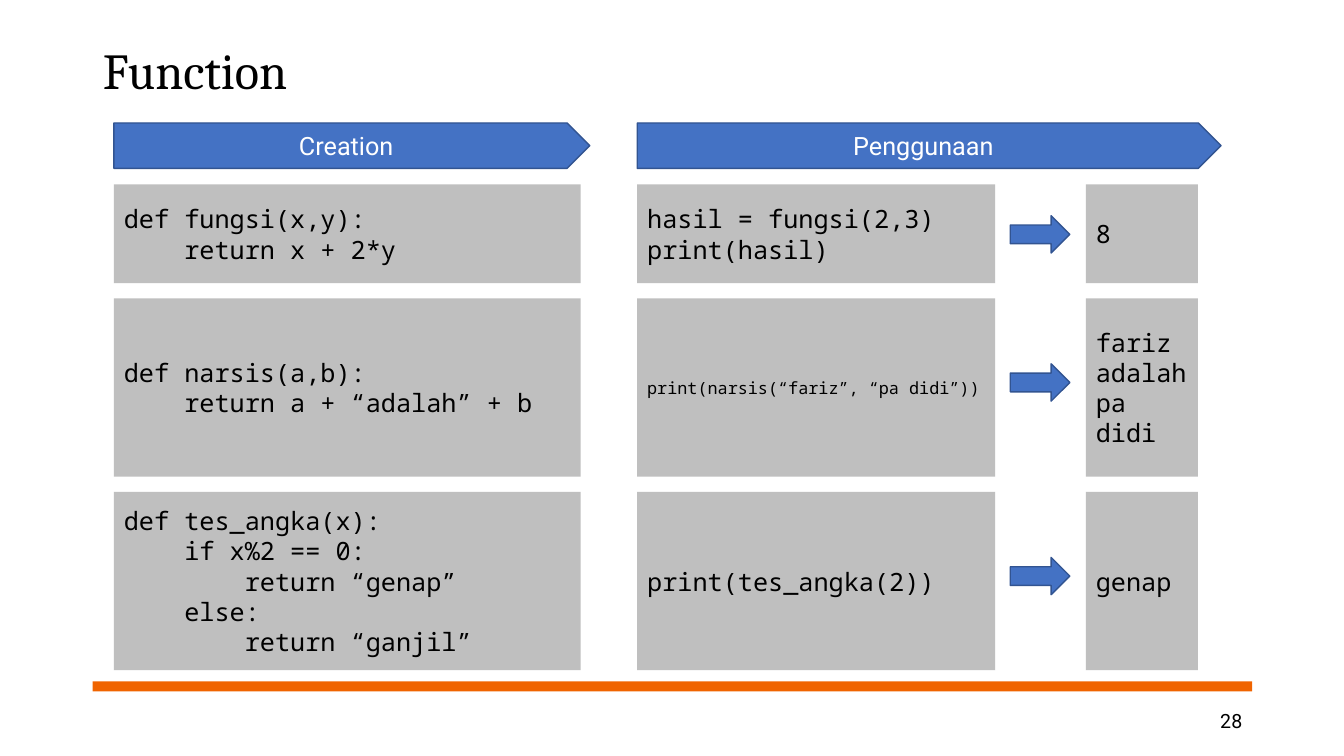
from pptx import Presentation
from pptx.dml.color import RGBColor
from pptx.enum.shapes import MSO_SHAPE
from pptx.enum.text import MSO_ANCHOR, PP_ALIGN
from pptx.util import Inches, Pt

BLACK = RGBColor(0x00, 0x00, 0x00)
WHITE = RGBColor(0xFF, 0xFF, 0xFF)
ORANGE = RGBColor(0xF0, 0x64, 0x00)
BLUE = RGBColor(0x44, 0x72, 0xC4)
DARK_BLUE = RGBColor(0x32, 0x54, 0x91)
GRAY = RGBColor(0xBF, 0xBF, 0xBF)

HEADING_FONT = "Cambria"
BODY_FONT = "Roboto"
CODE_FONT = "Noto Sans Mono"

# Columns as (left, width)
CREATION = (1.13, 4.63)
USAGE = (6.32, 3.55)
ARROW = (10.02, 0.59)
RESULT = (10.77, 1.11)

HEADER_TOP, HEADER_HEIGHT = 1.22, 0.45
FIRST_ROW_TOP, ROW_GAP = 1.83, 0.15
ARROW_HEIGHT = 0.37

# Rows as (height, arrow offset, definition, call, call size, result)
EXAMPLES = [
    (0.98, 0.31, "def fungsi(x,y):\n    return x + 2*y",
     "hasil = fungsi(2,3)\nprint(hasil)", 18, "8"),
    (1.77, 0.65, "def narsis(a,b):\n    return a + “adalah” + b",
     "print(narsis(“fariz”, “pa didi”))", 12, "fariz adalah pa didi"),
    (1.77, 0.65,
     "def tes_angka(x):\n    if x%2 == 0:\n        return “genap”\n"
     "    else:\n        return “ganjil”",
     "print(tes_angka(2))", 18, "genap"),
]


def write_text(shape, text, font=BODY_FONT, size=18, color=BLACK,
               align=PP_ALIGN.LEFT, line_spacing=None):
    """Put one paragraph per line of text into the shape."""
    frame = shape.text_frame
    frame.word_wrap = True
    frame.vertical_anchor = MSO_ANCHOR.MIDDLE
    for index, line in enumerate(text.split("\n")):
        paragraph = frame.add_paragraph() if index else frame.paragraphs[0]
        paragraph.alignment = align
        paragraph.line_spacing = line_spacing
        run = paragraph.add_run()
        run.text = line
        run.font.name = font
        run.font.size = Pt(size)
        run.font.color.rgb = color


class SlideBuilder:
    def __init__(self, presentation):
        title_only_layout = presentation.slide_layouts[5]
        self.slide = presentation.slides.add_slide(title_only_layout)

    def title(self, text, left, top, width, height):
        title = self.slide.shapes.title
        title.left, title.top = Inches(left), Inches(top)
        title.width, title.height = Inches(width), Inches(height)
        write_text(title, text, HEADING_FONT, 36, line_spacing=0.9)

    def label(self, text, left, top, width, height, **text_format):
        box = self.slide.shapes.add_textbox(
            Inches(left), Inches(top), Inches(width), Inches(height))
        write_text(box, text, **text_format)

    def shape(self, kind, left, top, width, height, fill, line=None):
        shape = self.slide.shapes.add_shape(
            kind, Inches(left), Inches(top), Inches(width), Inches(height))
        shape.shadow.inherit = False
        shape.fill.solid()
        shape.fill.fore_color.rgb = fill
        if line is None:
            shape.line.fill.background()
        else:
            shape.line.color.rgb = line
            shape.line.width = Pt(1)
        return shape

    def header(self, text, left, width):
        banner = self.shape(MSO_SHAPE.PENTAGON, left, HEADER_TOP, width,
                            HEADER_HEIGHT, BLUE, DARK_BLUE)
        write_text(banner, text, color=WHITE, align=PP_ALIGN.CENTER)

    def code(self, text, column, top, height, size=18):
        left, width = column
        panel = self.shape(MSO_SHAPE.RECTANGLE, left, top, width, height, GRAY)
        write_text(panel, text, CODE_FONT, size)

    def arrow(self, top):
        left, width = ARROW
        self.shape(MSO_SHAPE.RIGHT_ARROW, left, top, width, ARROW_HEIGHT,
                   BLUE, DARK_BLUE)


def main():
    presentation = Presentation()
    presentation.slide_width = Inches(13.33)
    presentation.slide_height = Inches(7.5)
    builder = SlideBuilder(presentation)

    # Title, footer bar and page number
    builder.shape(MSO_SHAPE.RECTANGLE, 0.92, 6.76, 11.5, 0.1, ORANGE)
    builder.title("Function", 0.92, 0.24, 11.5, 0.98)
    builder.label("28", 9.42, 6.95, 3, 0.4, size=14, align=PP_ALIGN.RIGHT)

    # Column headers
    builder.header("Creation", CREATION[0], 4.72)
    builder.header("Penggunaan", USAGE[0], 5.79)

    # Example rows
    top = FIRST_ROW_TOP
    for height, arrow_offset, definition, call, call_size, result in EXAMPLES:
        builder.code(definition, CREATION, top, height)
        builder.code(call, USAGE, top, height, call_size)
        builder.code(result, RESULT, top, height)
        builder.arrow(top + arrow_offset)
        top += height + ROW_GAP

    presentation.save("out.pptx")


if __name__ == "__main__":
    main()
